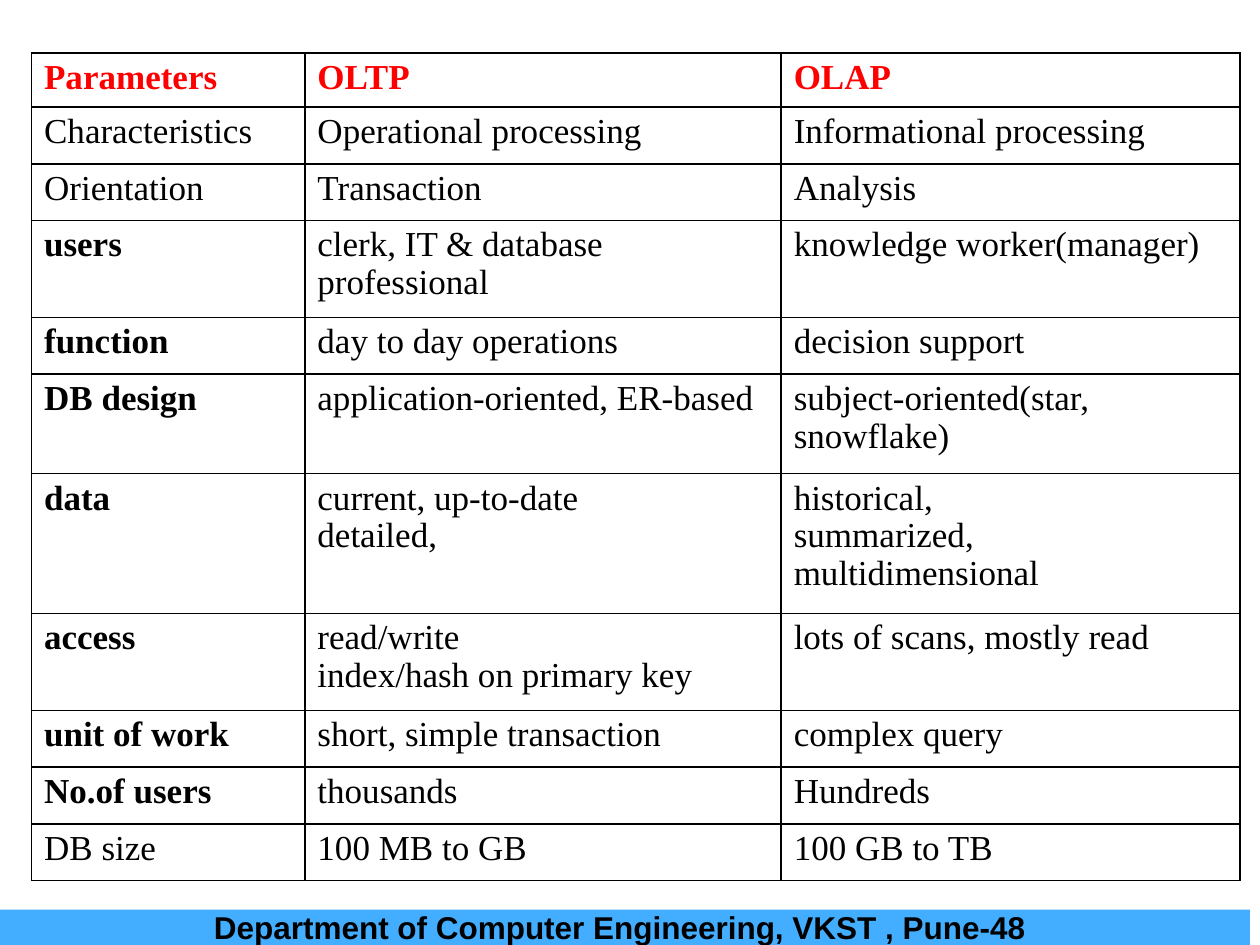
from dataclasses import dataclass

import pptx
import pptx.dml.color
import pptx.enum.shapes
import pptx.enum.text
import pptx.oxml
import pptx.oxml.ns
import pptx.util

Inches = pptx.util.Inches
RGBColor = pptx.dml.color.RGBColor
BLACK = RGBColor(0, 0, 0)
RED = RGBColor(0xFF, 0, 0)
BAR_BLUE = RGBColor(0x43, 0xAE, 0xFF)

HEADER = {"name": "Times New Roman", "size": pptx.util.Pt(20), "bold": True, "color": RED}
BODY = HEADER | {"bold": False, "color": BLACK}
LABEL = BODY | {"bold": True}
FOOTER = LABEL | {"name": "Arial", "size": pptx.util.Pt(18)}


@dataclass
class Row:
    """One comparison row; a line break starts a new paragraph."""
    height: float
    parameter: str
    oltp: str
    olap: str
    label: dict
    value: dict


COLUMN_WIDTHS = (2.17, 3.78, 3.64)
ROWS = [
    Row(0.43, "Parameters", "OLTP", "OLAP", HEADER, HEADER),
    Row(0.45, "Characteristics", "Operational processing", "Informational processing", BODY, BODY),
    Row(0.45, "Orientation", "Transaction", "Analysis", BODY, BODY),
    Row(0.77, "users", "clerk, IT & database professional",
        "knowledge worker(manager)", LABEL, BODY),
    Row(0.45, "function", "day to day operations", "decision support", LABEL, BODY),
    Row(0.79, "DB design", "application-oriented, ER-based",
        "subject-oriented(star, snowflake)", LABEL, BODY),
    Row(1.11, "data", "current, up-to-date\ndetailed,",
        "historical,\nsummarized, multidimensional", LABEL, BODY),
    Row(0.77, "access", "read/write\nindex/hash on primary key",
        "lots of scans, mostly read", LABEL, BODY),
    Row(0.45, "unit of work", "short, simple transaction", "complex query", LABEL, BODY),
    Row(0.45, "No.of users", "thousands", "Hundreds", LABEL, BODY),
    Row(0.45, "DB size", "100 MB to GB", "100 GB to TB", BODY, BODY),
]


def write(tf, text: str, style: dict, **paragraph) -> None:
    """Fill a text frame and format its paragraphs and runs."""
    tf.text = text
    for p in tf.paragraphs:
        for key, value in paragraph.items():
            setattr(p, key, value)
        for r in p.runs:
            for key, value in style.items():
                if key == "color":
                    r.font.color.rgb = value
                else:
                    setattr(r.font, key, value)


def add_borders(cell) -> None:
    """Draw a one point black line on every side of a cell."""
    props = cell._tc.get_or_add_tcPr()
    for i, side in enumerate(("lnL", "lnR", "lnT", "lnB")):
        props.insert(i, pptx.oxml.parse_xml(
            f'<a:{side} {pptx.oxml.ns.nsdecls("a")} w="12700"><a:solidFill>'
            f'<a:srgbClr val="{BLACK}"/></a:solidFill></a:{side}>'))


def add_comparison(s) -> None:
    """Add the table that compares OLTP with OLAP."""
    table = s.shapes.add_table(
        len(ROWS), len(COLUMN_WIDTHS), Inches(0.25), Inches(0.42),
        Inches(sum(COLUMN_WIDTHS)), Inches(sum(row.height for row in ROWS))).table
    table.first_row = table.horz_banding = False
    for column, width in zip(table.columns, COLUMN_WIDTHS):
        column.width = Inches(width)
    for i, row in enumerate(ROWS):
        table.rows[i].height = Inches(row.height)
        for j, text in enumerate((row.parameter, row.oltp, row.olap)):
            cell = table.cell(i, j)
            cell.fill.background()
            add_borders(cell)
            write(cell.text_frame, text, row.value if j else row.label, line_spacing=0.97)


def add_footer(s) -> None:
    """Add the department bar along the bottom edge."""
    sp = s.shapes.add_shape(pptx.enum.shapes.MSO_SHAPE.RECTANGLE,
                            Inches(-0.08), Inches(7.22), Inches(10), Inches(0.28))
    sp.shadow.inherit = False
    sp.fill.solid()
    sp.fill.fore_color.rgb = BAR_BLUE
    sp.line.fill.background()
    sp.text_frame.vertical_anchor = pptx.enum.text.MSO_ANCHOR.MIDDLE
    write(sp.text_frame, "Department of Computer Engineering, VKST , Pune-48", FOOTER,
          alignment=pptx.enum.text.PP_ALIGN.CENTER)


prs = pptx.Presentation()
prs.slide_width, prs.slide_height = Inches(10), Inches(7.5)
s = prs.slides.add_slide(prs.slide_layouts[6])
add_comparison(s)
add_footer(s)
prs.save("out.pptx")
